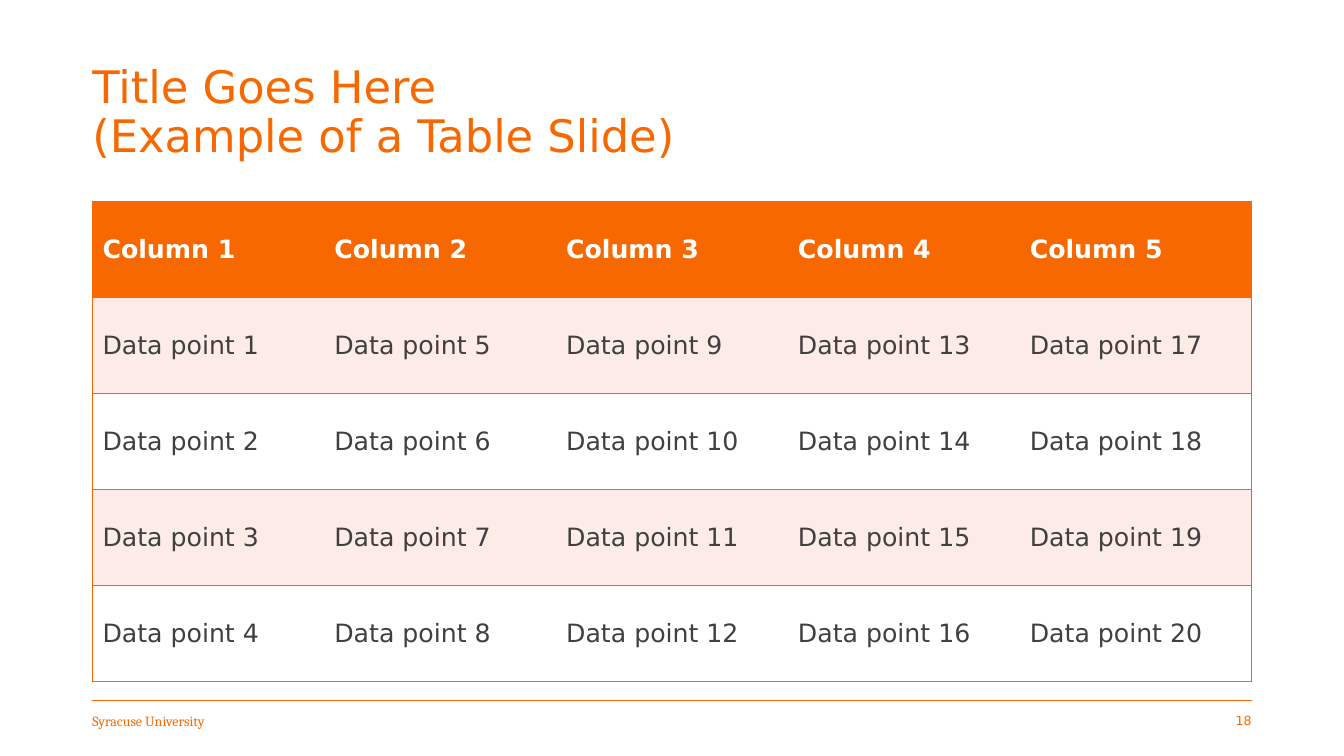
from dataclasses import dataclass

from lxml.etree import SubElement
from pptx import Presentation
from pptx.dml.color import RGBColor
from pptx.enum.shapes import MSO_CONNECTOR as Connector
from pptx.enum.text import MSO_ANCHOR as Anchor, PP_ALIGN as Align
from pptx.oxml.ns import qn
from pptx.slide import Slide
from pptx.table import _Cell as Cell
from pptx.util import Cm, Pt

ORANGE = RGBColor(0xF7, 0x69, 0x00)
BLUSH = RGBColor(0xFD, 0xEB, 0xE7)
WHITE = RGBColor(0xFF, 0xFF, 0xFF)
CHARCOAL = RGBColor(0x3F, 0x40, 0x3F)
SANS = "DejaVu Sans"
SERIF = "Cambria"

LEFT = 2.33
WIDTH = 29.21
RIGHT = LEFT + WIDTH
FOOTER_TOP = 17.65
FOOTER_WIDTH = 5.33
FOOTER_HEIGHT = 1.02
TABLE_TOP = 5.08
ROW_HEIGHT = 2.42
COLUMNS = 5
DATA_ROWS = 4


@dataclass(frozen=True)
class Label:
    text: str
    left: float
    top: float
    width: float
    height: float
    size: float
    font: str = SANS
    align: Align = Align.LEFT
    spacing: float = 1.0


LABELS = [
    Label("Syracuse University", LEFT, FOOTER_TOP, FOOTER_WIDTH, FOOTER_HEIGHT, 10, SERIF),
    Label("18", RIGHT - FOOTER_WIDTH, FOOTER_TOP, FOOTER_WIDTH, FOOTER_HEIGHT, 9,
          align=Align.RIGHT),
    Label("Title Goes Here\v(Example of a Table Slide)", LEFT, 1.02, WIDTH, 3.68, 32,
          spacing=0.9),
]


def add_label(page: Slide, label: Label) -> None:
    box = page.shapes.add_textbox(
        Cm(label.left), Cm(label.top), Cm(label.width), Cm(label.height))
    frame = box.text_frame
    frame.word_wrap = True
    frame.vertical_anchor = Anchor.MIDDLE
    frame.margin_left = frame.margin_right = 0
    frame.text = label.text
    para = frame.paragraphs[0]
    para.alignment = label.align
    para.line_spacing = label.spacing
    for span in para.runs:
        span.font.name = label.font
        span.font.size = Pt(label.size)
        span.font.color.rgb = ORANGE


def add_footer_rule(page: Slide) -> None:
    rule = page.shapes.add_connector(
        Connector.STRAIGHT, Cm(LEFT), Cm(FOOTER_TOP), Cm(RIGHT), Cm(FOOTER_TOP))
    rule.line.color.rgb = ORANGE
    rule.line.width = Pt(0.5)
    SubElement(rule._element.spPr, qn("a:effectLst"))


def set_borders(cell: Cell, column: int) -> None:
    properties = cell._tc.get_or_add_tcPr()
    visible = {"L": column == 0, "R": column == COLUMNS - 1, "T": True, "B": True}
    for side, shown in visible.items():
        border = SubElement(properties, qn(f"a:ln{side}"), w=str(Pt(1)))
        if shown:
            fill = SubElement(border, qn("a:solidFill"))
            SubElement(fill, qn("a:srgbClr"), val=str(ORANGE))
        else:
            SubElement(border, qn("a:noFill"))


def fill_cell(cell: Cell, row: int, column: int) -> None:
    header = row == 0
    cell.text = f"Column {column + 1}" if header else f"Data point {column * DATA_ROWS + row}"
    cell.vertical_anchor = Anchor.MIDDLE
    set_borders(cell, column)
    cell.fill.solid()
    cell.fill.fore_color.rgb = ORANGE if header else BLUSH if row % 2 else WHITE
    font = cell.text_frame.paragraphs[0].runs[0].font
    font.name = SANS
    font.size = Pt(18)
    font.bold = header
    font.color.rgb = WHITE if header else CHARCOAL


def add_data_table(page: Slide) -> None:
    rows = DATA_ROWS + 1
    table = page.shapes.add_table(
        rows, COLUMNS, Cm(LEFT), Cm(TABLE_TOP), Cm(WIDTH), Cm(ROW_HEIGHT * rows)).table
    for row in range(rows):
        for column in range(COLUMNS):
            fill_cell(table.cell(row, column), row, column)


def main() -> None:
    deck = Presentation()
    deck.slide_width, deck.slide_height = Cm(33.87), Cm(19.05)
    page = deck.slides.add_slide(deck.slide_layouts[6])
    add_footer_rule(page)
    for label in LABELS:
        add_label(page, label)
    add_data_table(page)
    deck.save("out.pptx")


if __name__ == "__main__":
    main()
